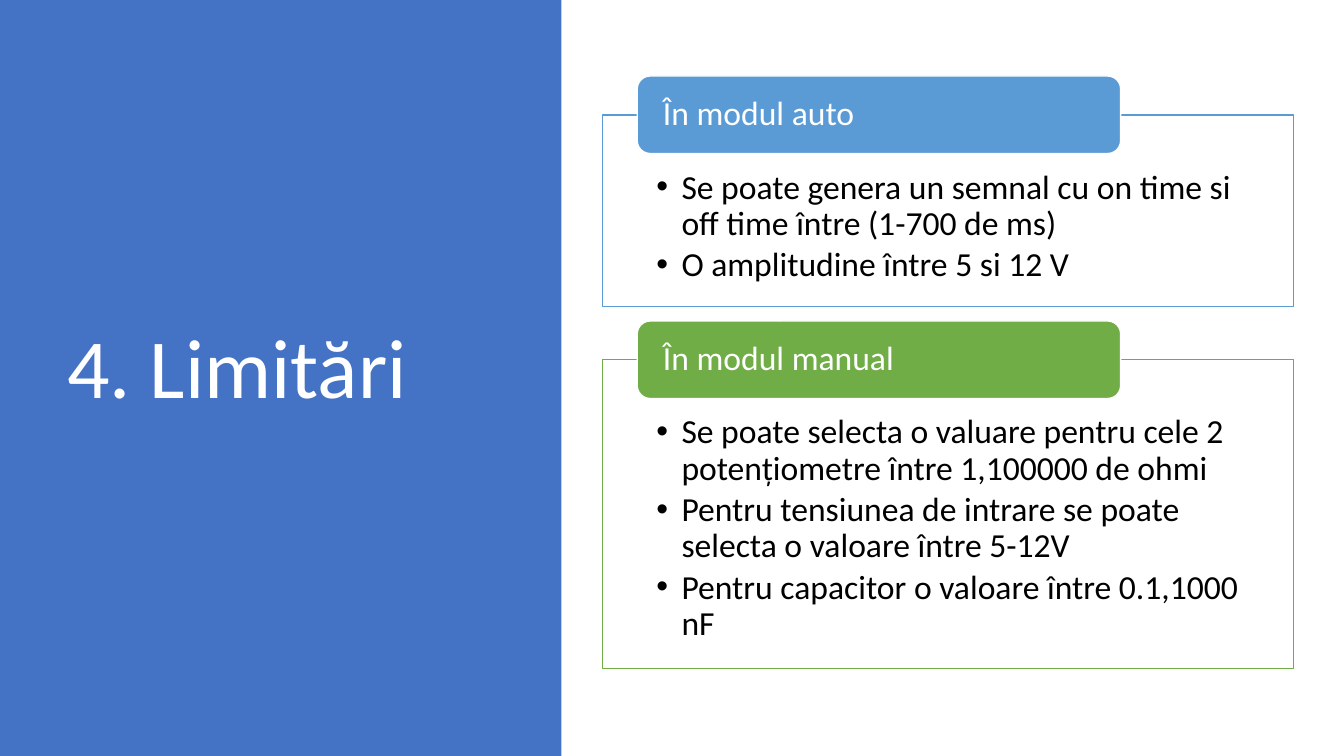
from dataclasses import dataclass

from lxml.etree import SubElement
from pptx import Presentation
from pptx.dml.color import RGBColor
from pptx.enum.shapes import MSO_SHAPE
from pptx.enum.text import MSO_ANCHOR, PP_ALIGN
from pptx.oxml.ns import qn
from pptx.util import Pt


@dataclass(frozen=True)
class Theme:
    font: str = "Calibri"
    title_size: int = 60
    body_size: int = 24
    panel: str = "4472C4"
    auto: str = "5B9BD5"
    manual: str = "70AD47"
    white: str = "FFFFFF"
    black: str = "000000"


THEME = Theme()


def add_box(slide, kind, box, fill, line=None):
    """Add a flat preset shape in a box of (left, top, width, height) points."""
    shape = slide.shapes.add_shape(kind, *(Pt(length) for length in box))
    shape.shadow.inherit = False
    shape.fill.solid()
    shape.fill.fore_color.rgb = RGBColor.from_string(fill)
    if line:
        shape.line.color.rgb = RGBColor.from_string(line)
        shape.line.width = Pt(1)
    else:
        shape.line.fill.background()
    return shape


def write_text(shape, lines, *, color, size=THEME.body_size, insets=(7.2, 3.6, 7.2, 3.6),
               anchor=MSO_ANCHOR.MIDDLE, space_after=0, bullet_indent=0):
    """Fill a shape with one paragraph per line."""
    frame = shape.text_frame
    frame.word_wrap = True
    frame.vertical_anchor = anchor
    (frame.margin_left, frame.margin_top,
     frame.margin_right, frame.margin_bottom) = (Pt(inset) for inset in insets)
    for index, line in enumerate(lines):
        paragraph = frame.add_paragraph() if index else frame.paragraphs[0]
        paragraph.alignment = PP_ALIGN.LEFT
        paragraph.line_spacing = 0.9
        paragraph.space_after = Pt(space_after)
        run = paragraph.add_run()
        run.text = line
        run.font.name = THEME.font
        run.font.size = Pt(size)
        run.font.color.rgb = RGBColor.from_string(color)
        if bullet_indent:
            properties = paragraph._p.get_or_add_pPr()
            properties.set("marL", str(Pt(bullet_indent)))
            properties.set("indent", str(-Pt(bullet_indent)))
            SubElement(properties, qn("a:buFont")).set("typeface", "Arial")
            SubElement(properties, qn("a:buChar")).set("char", "•")


def add_title_panel(slide, box, title):
    left, top, width, height = box
    add_box(slide, MSO_SHAPE.RECTANGLE, box, THEME.panel)
    title_box = slide.shapes.add_textbox(
        Pt(left + 41), Pt(top + 49), Pt(width - 101), Pt(height - 107))
    write_text(title_box, [title], color=THEME.white, size=THEME.title_size)


def add_mode_card(slide, box, heading, limits, color):
    left, top, width, _ = box
    # Outlined body with bullets
    body = add_box(slide, MSO_SHAPE.RECTANGLE, box, THEME.white, color)
    write_text(body, limits, color=THEME.black, insets=(38.3, 39.4, 38.3, 13.5),
               anchor=MSO_ANCHOR.TOP, space_after=3.6, bullet_indent=18)
    # Heading tab, centred on the top edge
    tab_height = 55.4
    tab_box = (left + 24.7, top - tab_height / 2, width * 0.7, tab_height)
    tab = add_box(slide, MSO_SHAPE.ROUNDED_RECTANGLE, tab_box, color, THEME.white)
    write_text(tab, [heading], color=THEME.white, insets=(15.7, 0, 15.7, 0))


def main():
    presentation = Presentation()
    presentation.slide_width = Pt(960)
    presentation.slide_height = Pt(540)
    slide = presentation.slides.add_slide(presentation.slide_layouts[6])

    add_title_panel(slide, (0, 0, 401, 540), "4. Limitări")

    # Mode cards: height, heading, limits, colour
    cards = [
        (137, "În modul auto", [
            "Se poate genera un semnal cu on time si off time între (1-700 de ms)",
            "O amplitudine între 5 si 12 V",
        ], THEME.auto),
        (220.5, "În modul manual", [
            "Se poate selecta o valuare pentru cele 2 potențiometre între 1,100000 de ohmi",
            "Pentru tensiunea de intrare se poate selecta o valoare între 5-12V",
            "Pentru capacitor o valoare între 0.1,1000 nF",
        ], THEME.manual),
    ]
    top, gap = 82, 38
    for height, heading, limits, color in cards:
        add_mode_card(slide, (430.5, top, 493.3, height), heading, limits, color)
        top += height + gap

    presentation.save("out.pptx")


if __name__ == "__main__":
    main()
